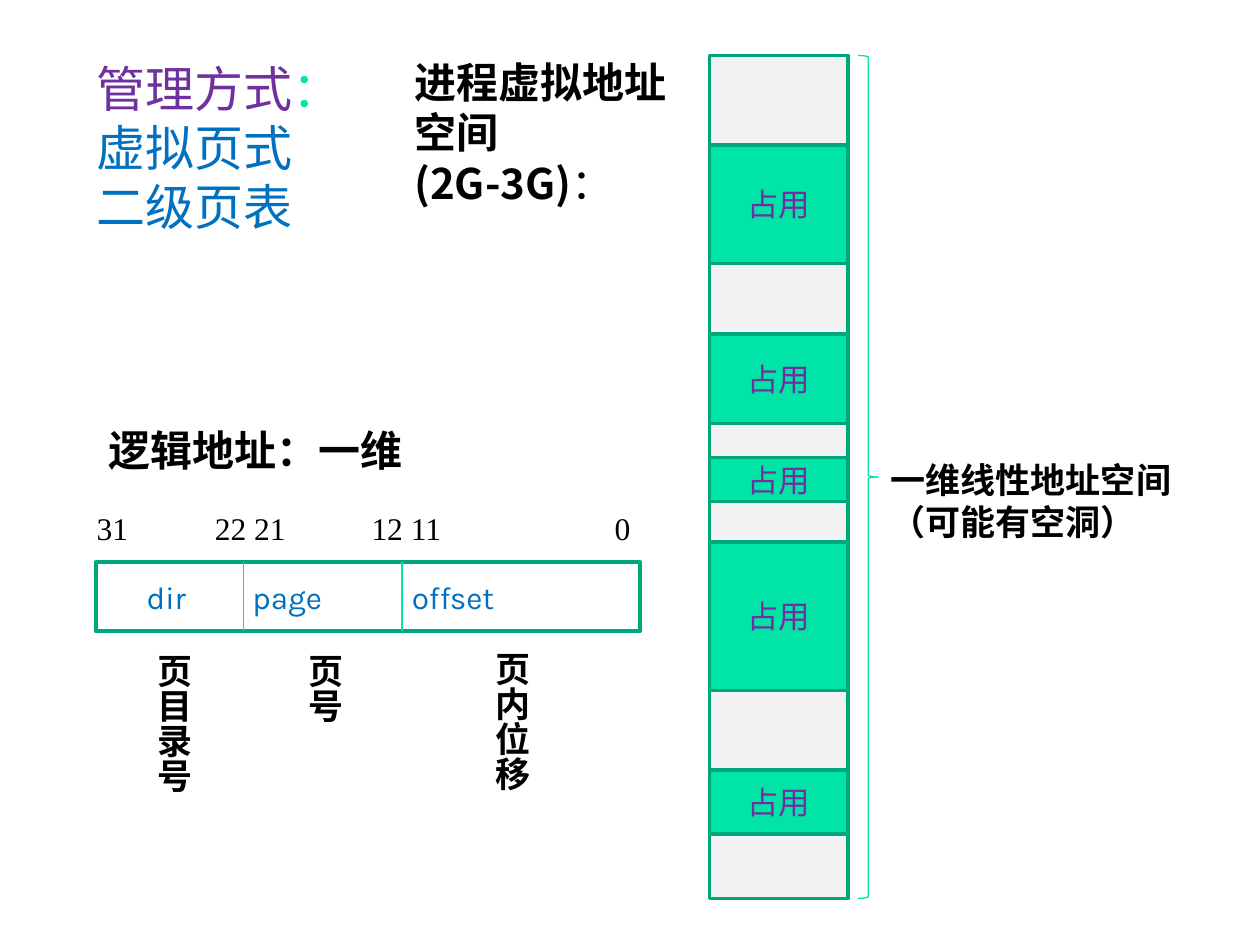
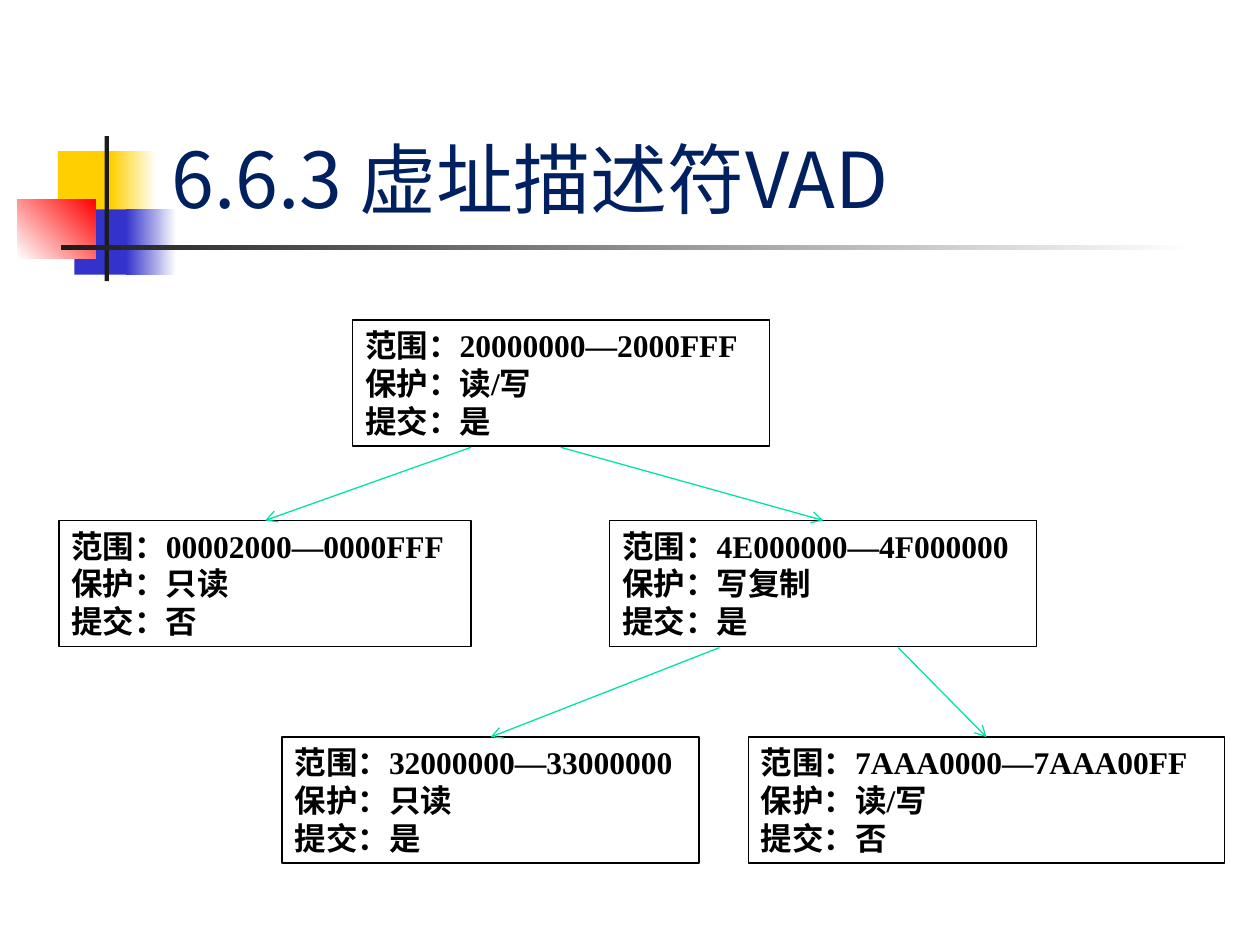
import dataclasses
import pptx
import pptx.util
import pptx.dml.color
import pptx.enum.dml
import pptx.enum.shapes
import pptx.enum.text
import pptx.oxml
import pptx.oxml.ns

Pt = pptx.util.Pt
SHAPE = pptx.enum.shapes.MSO_SHAPE
ALIGN = pptx.enum.text.PP_ALIGN
ANCHOR = pptx.enum.text.MSO_ANCHOR


@dataclasses.dataclass(frozen=True)
class Theme:
    # Colours
    white: str = "FFFFFF"
    black: str = "000000"
    ink: str = "1C1C1C"
    grey: str = "F2F2F2"
    mint: str = "00E4A8"
    green: str = "00A77A"
    purple: str = "7030A0"
    blue: str = "0070C0"
    navy: str = "002060"
    yellow: str = "FFCF01"
    indigo: str = "3333CC"
    red: str = "FF0000"
    # Fonts and type sizes
    cjk: str = "Noto Sans CJK JP"
    serif: str = "Times New Roman"
    sans: str = "Karla"
    title: int = 44
    lead: int = 28
    heading: int = 24
    label: int = 20
    body: int = 18
    # Line widths
    thin: float = 0.75
    thick: float = 2


THEME = Theme()


def rgb(value):
    return pptx.dml.color.RGBColor.from_string(value)


def write_text(frame, lines, size=THEME.body, font=THEME.cjk, color=THEME.black,
               bold=False, align=ALIGN.LEFT, anchor=ANCHOR.TOP, tabs=()):
    """Each line is a string or a list of (text, overrides) spans."""
    frame.word_wrap = True
    frame.vertical_anchor = anchor
    for index, line in enumerate(lines):
        para = frame.add_paragraph() if index else frame.paragraphs[0]
        para.alignment = align
        if tabs:
            tab_list = pptx.oxml.ns.qn("a:tabLst")
            stops = para._p.get_or_add_pPr().makeelement(tab_list)
            para._p.get_or_add_pPr().append(stops)
            for position in tabs:
                stop = stops.makeelement(pptx.oxml.ns.qn("a:tab"),
                                         {"pos": str(int(Pt(position))), "algn": "l"})
                stops.append(stop)
        for text, changes in [(line, {})] if isinstance(line, str) else line:
            look = {"color": color, "bold": bold} | changes
            span = para.add_run()
            span.text = text
            span.font.name = font
            span.font.size = Pt(size)
            span.font.bold = look["bold"]
            span.font.color.rgb = rgb(look["color"])


def add_text(page, box, lines, vertical=False, **look):
    frame = page.shapes.add_textbox(*map(Pt, box)).text_frame
    write_text(frame, lines, **look)
    if vertical:
        frame._txBody.bodyPr.set("vert", "eaVert")
        frame.margin_left = frame.margin_right = Pt(3.6)
        frame.margin_top = frame.margin_bottom = Pt(7.2)


def add_box(page, box, fill=None, line=None, width=THEME.thick, kind=SHAPE.RECTANGLE):
    """A fill of two colours is a gradient."""
    shape = page.shapes.add_shape(kind, *map(Pt, box))
    shape.shadow.inherit = False
    if fill is None:
        shape.fill.background()
    elif isinstance(fill, tuple):
        shape.fill.gradient()
        for stop, color, position in zip(shape.fill.gradient_stops, fill, (0, 1)):
            stop.color.rgb = rgb(color)
            stop.position = position
        shape.fill.gradient_angle = 0
    else:
        shape.fill.solid()
        shape.fill.fore_color.rgb = rgb(fill)
    if line:
        shape.line.color.rgb = rgb(line)
        shape.line.width = Pt(width)
    else:
        shape.line.fill.background()
    return shape


def add_line(page, start, end, arrow=False):
    line = page.shapes.add_connector(pptx.enum.shapes.MSO_CONNECTOR.STRAIGHT,
                                     *map(Pt, (*start, *end)))
    line.line.color.rgb = rgb(THEME.mint)
    line.line.width = Pt(THEME.thin)
    if arrow:
        outline = line.line._get_or_add_ln()
        outline.append(outline.makeelement(pptx.oxml.ns.qn("a:tailEnd"), {"type": "arrow"}))
    properties = line._element.spPr
    properties.append(properties.makeelement(pptx.oxml.ns.qn("a:effectLst")))
    return line


# Address space column with its brace
def draw_address_space(page, box):
    left, top, width, height = box
    add_box(page, box, THEME.grey, THEME.green)
    used_blocks = [(51.1, 67.7), (159.1, 51.1), (229.7, 25.2), (277.9, 85), (408.2, 36.7)]
    for offset, depth in used_blocks:
        block = add_box(page, (left, top + offset, width, depth), THEME.mint, THEME.green)
        write_text(block.text_frame, ["占用"], color=THEME.purple,
                   align=ALIGN.CENTER, anchor=ANCHOR.MIDDLE)
    add_box(page, (left + width + 5.8, top, 11.5, height), line=THEME.mint,
            width=THEME.thin, kind=SHAPE.RIGHT_BRACE)
    add_text(page, (left + width + 17.3, top + 226.8, 175.7, 55.4),
             ["一维线性地址空间", "（可能有空洞）"], size=THEME.label, bold=True)


# Logical address: bit numbers, fields and field names
def draw_logical_address(page, box):
    left, top, width, height = box
    add_text(page, (left, top - 82, 191.5, 36), ["逻辑地址：一维"],
             size=THEME.heading, bold=True)
    register = add_box(page, box, line=THEME.green)
    write_text(register.text_frame, ["\tdir\tpage\toffset"], font=THEME.sans,
               color=THEME.blue, anchor=ANCHOR.MIDDLE, tabs=(22, 82.5, 173.5))
    add_text(page, (left - 6.5, top - 33.8, 323.3, 28.8), ["31\t22 21\t12 11\t0"],
             font=THEME.serif, tabs=(67.5, 157, 296))
    for offset in (84.3, 175):
        add_line(page, (left + offset, top), (left + offset, top + height))
    field_names = [("页目录号", 22.3, 45.4, 96.5), ("页号", 108, 45.4, 56.9),
                   ("页内位移", 215.3, 44, 96.5)]
    for name, across, down, depth in field_names:
        add_text(page, (left + across, top + down, 38.2, depth), [name],
                 vertical=True, size=THEME.label, bold=True)


def build_paging_page(deck):
    page = deck.slides.add_slide(deck.slide_layouts[6])
    draw_address_space(page, (405.4, 31.7, 79.2, 481.7))
    add_text(page, (229.7, 28.8, 169.9, 64.8),
             [[("进程虚拟地址空间(2G-3G)", {"bold": True}), ("：", {})]], size=THEME.heading)
    add_text(page, (48.2, 30.2, 129.6, 108),
             [[("管理方式", {"color": THEME.purple}), ("：", {"color": THEME.mint})],
              "虚拟页式", "二级页表"], size=THEME.lead, color=THEME.blue)
    draw_logical_address(page, (54.7, 321.1, 311, 39.6))


# Coloured squares and rules beside the title
def draw_title_ornament(page, box):
    left, top = box[:2]
    parts = [
        ((23, 8.6, 34.6, 37.4), THEME.yellow),
        ((53.3, 8.6, 25.9, 37.4), (THEME.yellow, THEME.white)),
        ((32.4, 41.8, 33.1, 37.4), THEME.indigo),
        ((61.9, 41.8, 28.8, 37.4), (THEME.indigo, THEME.white)),
        ((0, 36, 44.6, 33.8), (THEME.white, THEME.red)),
        ((49.7, 0, 2.4, 82.8), THEME.ink),
        ((24.8, 62.4, 648, 2.4), (THEME.ink, THEME.white)),
    ]
    for (across, down, width, height), fill in parts:
        part = add_box(page, (left + across, top + down, width, height), fill)
        if fill == (THEME.white, THEME.red):
            part.fill.gradient_angle = 45


def draw_title(page, box, text):
    title = page.shapes.title
    title.left, title.top, title.width, title.height = map(Pt, box)
    write_text(title.text_frame, [text], size=THEME.title, color=THEME.navy,
               anchor=ANCHOR.BOTTOM)


# Tree of address descriptors
def draw_descriptor_tree(page, box):
    left, top = box[:2]
    depth = 72
    # across, down, width, range, protection, committed
    descriptors = {
        "root": (167.8, 0, 238.3, "20000000—2000FFF", "读/写", "是"),
        "low": (0, 114.5, 235.4, "00002000—0000FFF", "只读", "否"),
        "high": (314.6, 114.5, 244.1, "4E000000—4F000000", "写复制", "是"),
        "high_left": (127.4, 238.3, 238.3, "32000000—33000000", "只读", "是"),
        "high_right": (393.8, 238.3, 272.2, "7AAA0000—7AAA00FF", "读/写", "否"),
    }
    nodes = {}
    for name, (across, down, width, span, protection, committed) in descriptors.items():
        node = add_box(page, (left + across, top + down, width, depth),
                       line=THEME.black, width=THEME.thin)
        write_text(node.text_frame,
                   [f"范围：{span}", f"保护：{protection}", f"提交：{committed}"],
                   font=THEME.serif, bold=True)
        nodes[name] = node
    links = [("root", "low", 235.4), ("root", "high", 286.6),
             ("high", "high_left", 377.3), ("high", "high_right", 479.5)]
    for parent, child, across in links:
        start = (left + across, top + descriptors[parent][1] + depth + 0.7)
        child_across, child_down, child_width = descriptors[child][:3]
        end = (left + child_across + child_width / 2, top + child_down)
        add_line(page, start, end, arrow=True).end_connect(nodes[child], 0)


def build_descriptor_page(deck):
    page = deck.slides.add_slide(deck.slide_layouts[5])
    draw_title_ornament(page, (10.1, 77.8, 672.8, 82.8))
    draw_title(page, (90.7, 16.6, 613.4, 115.2), "6.6.3 虚址描述符VAD")
    draw_descriptor_tree(page, (33.8, 182.9, 666, 310.3))


def main():
    deck = pptx.Presentation()
    deck.slide_width, deck.slide_height = Pt(720), Pt(540)
    build_paging_page(deck)
    build_descriptor_page(deck)
    deck.save("out.pptx")


if __name__ == "__main__":
    main()
